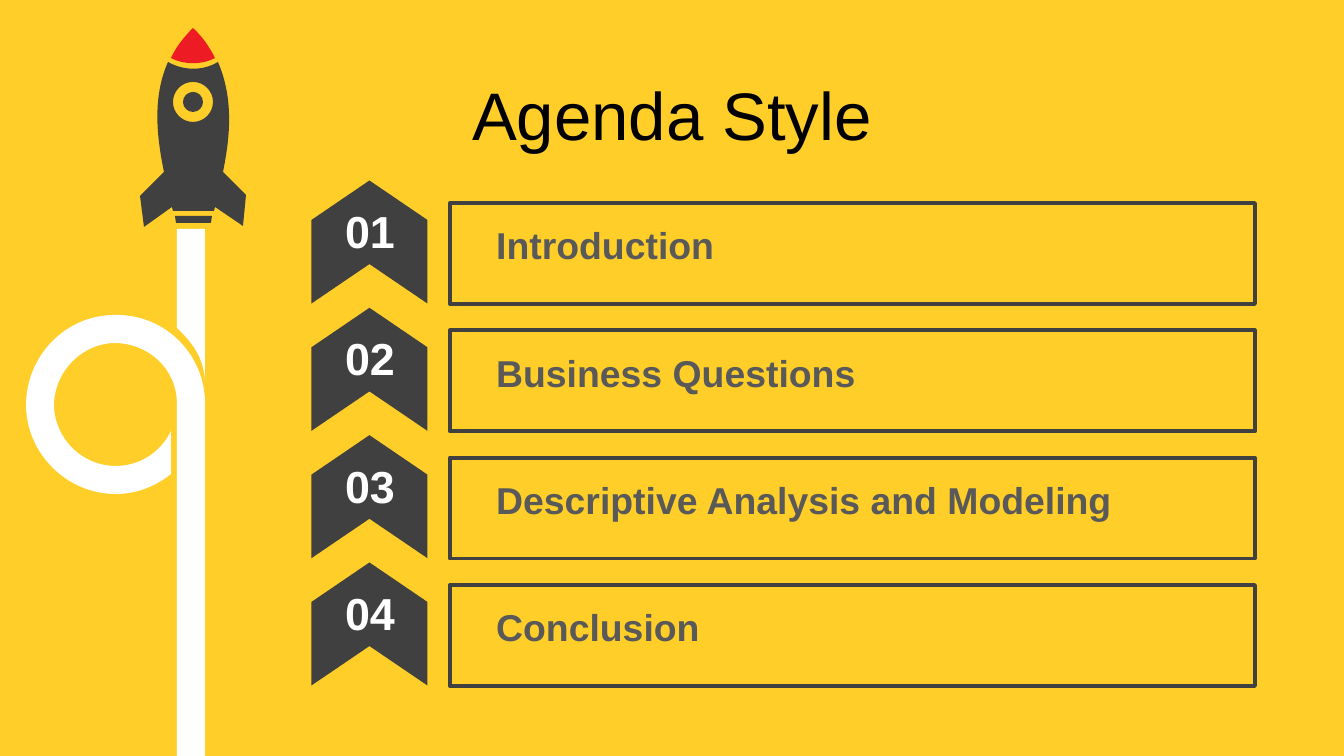
from dataclasses import dataclass

from lxml.etree import SubElement
from pptx import Presentation
from pptx.dml.color import RGBColor
from pptx.enum.shapes import MSO_SHAPE as Preset
from pptx.enum.text import MSO_ANCHOR as Anchor, MSO_AUTO_SIZE as AutoSize, PP_ALIGN as Align
from pptx.oxml.ns import qn
from pptx.util import Pt

EMU_PER_PIXEL = 914400 / 134.4


@dataclass(frozen=True)
class Theme:
    """Colours, font and type sizes of the slide."""
    background: str = "FFCE29"
    dark: str = "404040"
    label: str = "595959"
    white: str = "FFFFFF"
    title: str = "000000"
    nose: str = "ED1C24"
    font: str = "Arial"
    title_size: int = 36
    number_size: int = 24
    label_size: int = 20
    frame_width: int = 2


def emu(pixels):
    """Turn pixels into EMU."""
    return round(pixels * EMU_PER_PIXEL)


def circle(x, y, radius):
    """Return a circle as four cubic curves."""
    k = radius * 0.55
    left, top, right, bottom = x - radius, y - radius, x + radius, y + radius
    return [(x, top), (x + k, top, right, y - k, right, y),
            (right, y + k, x + k, bottom, x, bottom),
            (x - k, bottom, left, y + k, left, y),
            (left, y - k, x - k, top, x, top)]


def bend(shape, contours):
    """Turn the straight segments that stand for curves into cubic curves."""
    segments = list(shape.element.iter(qn("a:lnTo")))
    parts = [part for contour in contours for part in contour[1:]]
    for segment, part in zip(segments, parts):
        if len(part) == 2:
            continue
        segment.tag = qn("a:cubicBezTo")
        segment.remove(segment[0])
        for x, y in zip(part[::2], part[1::2]):
            SubElement(segment, qn("a:pt"), x=str(emu(x) - shape.left),
                       y=str(emu(y) - shape.top))


def write(shape, text, *, size, color, font, bold=False, align=Align.LEFT,
          anchor=Anchor.TOP, grow=False):
    """Put formatted text into a shape."""
    frame = shape.text_frame
    frame.word_wrap = True
    frame.vertical_anchor = anchor
    frame.auto_size = AutoSize.SHAPE_TO_FIT_TEXT if grow else AutoSize.NONE
    paragraph = frame.paragraphs[0]
    paragraph.alignment = align
    run = paragraph.add_run()
    run.text = text
    run.font.name, run.font.size, run.font.bold = font, Pt(size), bold
    run.font.color.rgb = RGBColor.from_string(color)


class SlideBuilder:
    """Draws styled elements on the current slide."""

    def __init__(self, slide, theme):
        """Keep the slide and theme and paint the background."""
        self.slide, self.theme = slide, theme
        fill = slide.background.fill
        fill.solid()
        fill.fore_color.rgb = RGBColor.from_string(theme.background)

    def paint(self, shape, fill=None, line=None):
        """Set fill and line, without a shadow."""
        shape.shadow.inherit = False
        if fill:
            shape.fill.solid()
            shape.fill.fore_color.rgb = RGBColor.from_string(fill)
        else:
            shape.fill.background()
        if line:
            shape.line.color.rgb = RGBColor.from_string(line)
            shape.line.width = Pt(self.theme.frame_width)
        else:
            shape.line.fill.background()
        return shape

    def preset(self, kind, box, fill=None, line=None):
        """Add a preset shape."""
        shape = self.slide.shapes.add_shape(kind, *map(emu, box))
        return self.paint(shape, fill, line)

    def outline(self, contours, fill):
        """Add closed contours of corners (x, y) and cubic curves (six numbers)."""
        builder = None
        for contour in contours:
            start, *ends = [(emu(part[-2]), emu(part[-1])) for part in contour]
            if builder is None:
                builder = self.slide.shapes.build_freeform(*start)
            else:
                builder.move_to(*start)
            builder.add_line_segments(ends, close=False)
        shape = builder.convert_to_shape()
        bend(shape, contours)
        return self.paint(shape, fill)

    def text(self, box, text, **style):
        """Add a text box."""
        textbox = self.slide.shapes.add_textbox(*map(emu, box))
        write(textbox, text, font=self.theme.font, **style)

    def agenda_row(self, number, topic, drop):
        """Add one framed topic with its numbered arrow."""
        theme = self.theme
        self.preset(Preset.RECTANGLE, (450, 203 + drop, 805, 101), line=theme.dark)
        label = self.preset(Preset.ROUND_2_SAME_RECTANGLE, (480, 213 + drop, 741, 62))
        write(label, topic, size=theme.label_size, color=theme.label,
              font=theme.font, bold=True, grow=True)
        arrow = self.preset(Preset.CHEVRON, (308, 184 + drop, 123, 116), fill=theme.dark)
        arrow.adjustments[0] = 0.34
        arrow.rotation = 270
        self.text((329, 197 + drop, 82, 67), f"{number:02}", size=theme.number_size,
                  color=theme.white, bold=True, align=Align.CENTER, grow=True)

    def smoke_trail(self):
        """Add the looping white trail."""
        white = self.theme.white
        overlap = [(199, 406), (205, 406), (205, 417, 203, 428, 199, 438), (199, 406)]
        loop = [(113, 315), (163, 313, 203, 352, 205, 400), (177, 402),
                (176, 368, 148, 343, 114, 343), (81, 344, 54, 372, 54, 406),
                (55, 439, 82, 466, 116, 466), (140, 466, 161, 452, 171, 431),
                (171, 474), (156, 486, 137, 494, 116, 494),
                (67, 494, 27, 454, 26, 406), (26, 356, 65, 316, 113, 315)]
        plume = [(177, 229), (205, 229), (205, 382), (204, 359, 194, 344, 177, 328),
                 (177, 229)]
        self.outline([overlap, loop], white)
        self.outline([plume], white)
        self.preset(Preset.RECTANGLE, (177, 398, 28, 358), fill=white)

    def rocket(self):
        """Add the rocket with its porthole, nozzle and nose."""
        body = [(168, 62), (184, 71, 203, 71, 218, 62), (234, 99, 230, 138, 223, 172),
                (246, 195), (243, 226), (215, 207), (214, 211), (173, 211), (172, 207),
                (144, 227), (140, 196), (164, 172), (157, 138, 152, 98, 168, 62)]
        nozzle = [(175, 216), (212, 216), (211, 223), (176, 223), (175, 216)]
        porthole = [circle(193, 102, radius) for radius in (10, 20)]
        nose = [(193, 28), (203, 37, 210, 48, 215, 58), (202, 65, 184, 65, 171, 58),
                (176, 47, 184, 37, 193, 28)]
        self.outline([nozzle, *porthole, body], self.theme.dark)
        self.outline([nose], self.theme.nose)


def main():
    """Build and save the agenda slide."""
    presentation = Presentation()
    presentation.slide_width, presentation.slide_height = emu(1344), emu(756)
    theme = Theme()
    agenda = SlideBuilder(presentation.slides.add_slide(presentation.slide_layouts[6]), theme)
    agenda.smoke_trail()
    agenda.rocket()
    agenda.text((0, 71, 1344, 85), "Agenda Style", size=theme.title_size,
                color=theme.title, align=Align.CENTER, anchor=Anchor.MIDDLE)
    topics = ("Introduction", "Business Questions",
              "Descriptive Analysis and Modeling", "Conclusion")
    for index, topic in enumerate(topics):
        agenda.agenda_row(index + 1, topic, index * 382 / 3)
    presentation.save("out.pptx")


main()
